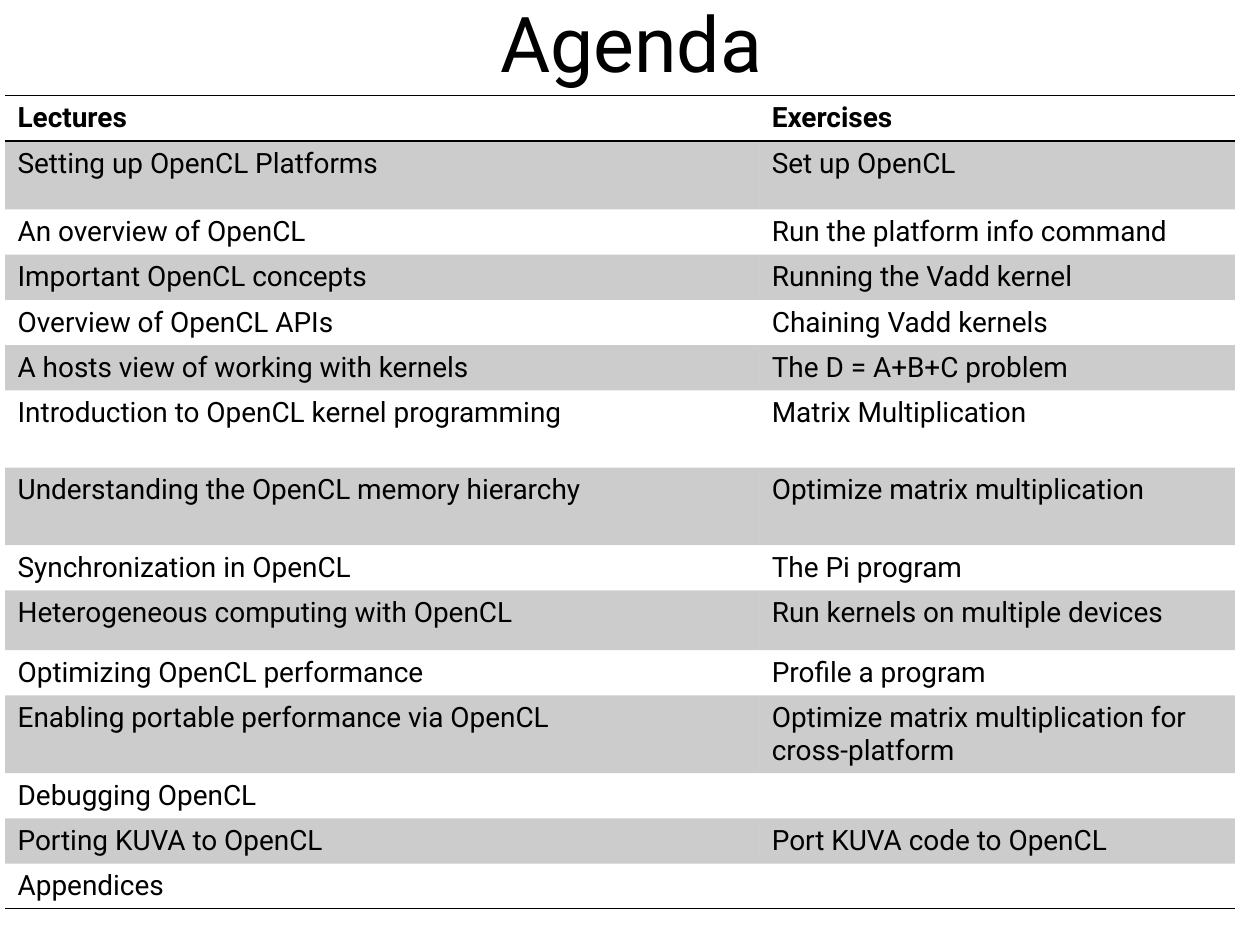
"""Build the OpenCL course agenda slide: a title above a two-column table."""
from lxml import etree
from pptx import Presentation
from pptx.dml.color import RGBColor
from pptx.enum.text import MSO_ANCHOR as Anchor, PP_ALIGN as Align
from pptx.oxml.ns import qn
from pptx.util import Pt

FONT = "Roboto"
COLORS = {"ink": "000000", "band": "000000"}
BAND_OPACITY = 20
TEXT_SIZE = 16
NO_STYLE = "{2D5ABB26-0587-4C30-8999-92F81FD0307C}"
COLUMN_WIDTHS = (431, 271.8)
SINGLE, MEDIUM, TALL, DOUBLE = 25.85, 34.2, 39.2, 44.3
AGENDA = [
    ("Lectures", "Exercises", SINGLE),
    ("Setting up OpenCL Platforms", "Set up OpenCL", TALL),
    ("An overview of OpenCL", "Run the platform info command", SINGLE),
    ("Important OpenCL concepts", "Running the Vadd kernel", SINGLE),
    ("Overview of OpenCL APIs", "Chaining Vadd kernels", SINGLE),
    ("A hosts view of working with kernels", "The D = A+B+C problem", SINGLE),
    ("Introduction to OpenCL kernel programming", "Matrix Multiplication", DOUBLE),
    ("Understanding the OpenCL memory hierarchy", "Optimize matrix multiplication", DOUBLE),
    ("Synchronization in OpenCL", "The Pi program", SINGLE),
    ("Heterogeneous computing with OpenCL", "Run kernels on multiple devices", MEDIUM),
    ("Optimizing OpenCL performance", "Profile a program", SINGLE),
    ("Enabling portable performance via OpenCL",
     "Optimize matrix multiplication for cross-platform", DOUBLE),
    ("Debugging OpenCL", "", SINGLE),
    ("Porting KUVA to OpenCL", "Port KUVA code to OpenCL", SINGLE),
    ("Appendices", "", SINGLE),
]


def format_run(run, size, bold=False):
    run.font.name = FONT
    run.font.size = Pt(size)
    run.font.bold = bold
    run.font.color.rgb = RGBColor.from_string(COLORS["ink"])


def add_title(slide, wording):
    title = slide.shapes.title
    title.left, title.top, title.width, title.height = Pt(36.7), Pt(-6.5), Pt(648), Pt(61.2)
    frame = title.text_frame
    frame.text = wording
    frame.vertical_anchor = Anchor.MIDDLE
    heading = frame.paragraphs[0]
    heading.alignment = Align.CENTER
    format_run(heading.runs[0], 44)


def add_rule(cell, side):
    rule = etree.SubElement(cell._tc.get_or_add_tcPr(), qn(f"a:ln{side}"), w=str(Pt(1)))
    paint = etree.SubElement(rule, qn("a:solidFill"))
    etree.SubElement(paint, qn("a:srgbClr"), val=COLORS["ink"])


def shade(cell, banded):
    if not banded:
        cell.fill.background()
        return
    cell.fill.solid()
    cell.fill.fore_color.rgb = RGBColor.from_string(COLORS["band"])
    tint = cell._tc.tcPr.find(qn("a:solidFill")).find(qn("a:srgbClr"))
    etree.SubElement(tint, qn("a:alpha"), val=str(BAND_OPACITY * 1000))


def write_entry(cell, wording, bold):
    entry = cell.text_frame.paragraphs[0]
    if wording:
        entry.text = wording
        format_run(entry.runs[0], TEXT_SIZE, bold)
    else:
        ending = etree.SubElement(entry._p, qn("a:endParaRPr"), sz=str(TEXT_SIZE * 100))
        etree.SubElement(ending, qn("a:latin"), typeface=FONT)


def add_agenda(slide):
    frame = slide.shapes.add_table(
        len(AGENDA), len(COLUMN_WIDTHS), Pt(2.9), Pt(54.7),
        Pt(sum(COLUMN_WIDTHS)), Pt(sum(height for *_, height in AGENDA)))
    agenda = frame.table
    agenda.horz_banding = False
    agenda._tbl.tblPr.find(qn("a:tableStyleId")).text = NO_STYLE
    for column, width in zip(agenda.columns, COLUMN_WIDTHS):
        column.width = Pt(width)
    last = len(AGENDA) - 1
    for index, (row, (*entries, height)) in enumerate(zip(agenda.rows, AGENDA)):
        row.height = Pt(height)
        sides = {0: "TB", last: "B"}.get(index, "")
        for cell, wording in zip(row.cells, entries):
            write_entry(cell, wording, bold=index == 0)
            for side in sides:
                add_rule(cell, side)
            shade(cell, banded=index % 2 == 1)


def main():
    deck = Presentation()
    deck.slide_width, deck.slide_height = Pt(720), Pt(540)
    slide = deck.slides.add_slide(deck.slide_layouts[5])
    add_title(slide, "Agenda")
    add_agenda(slide)
    deck.save("out.pptx")


if __name__ == "__main__":
    main()
